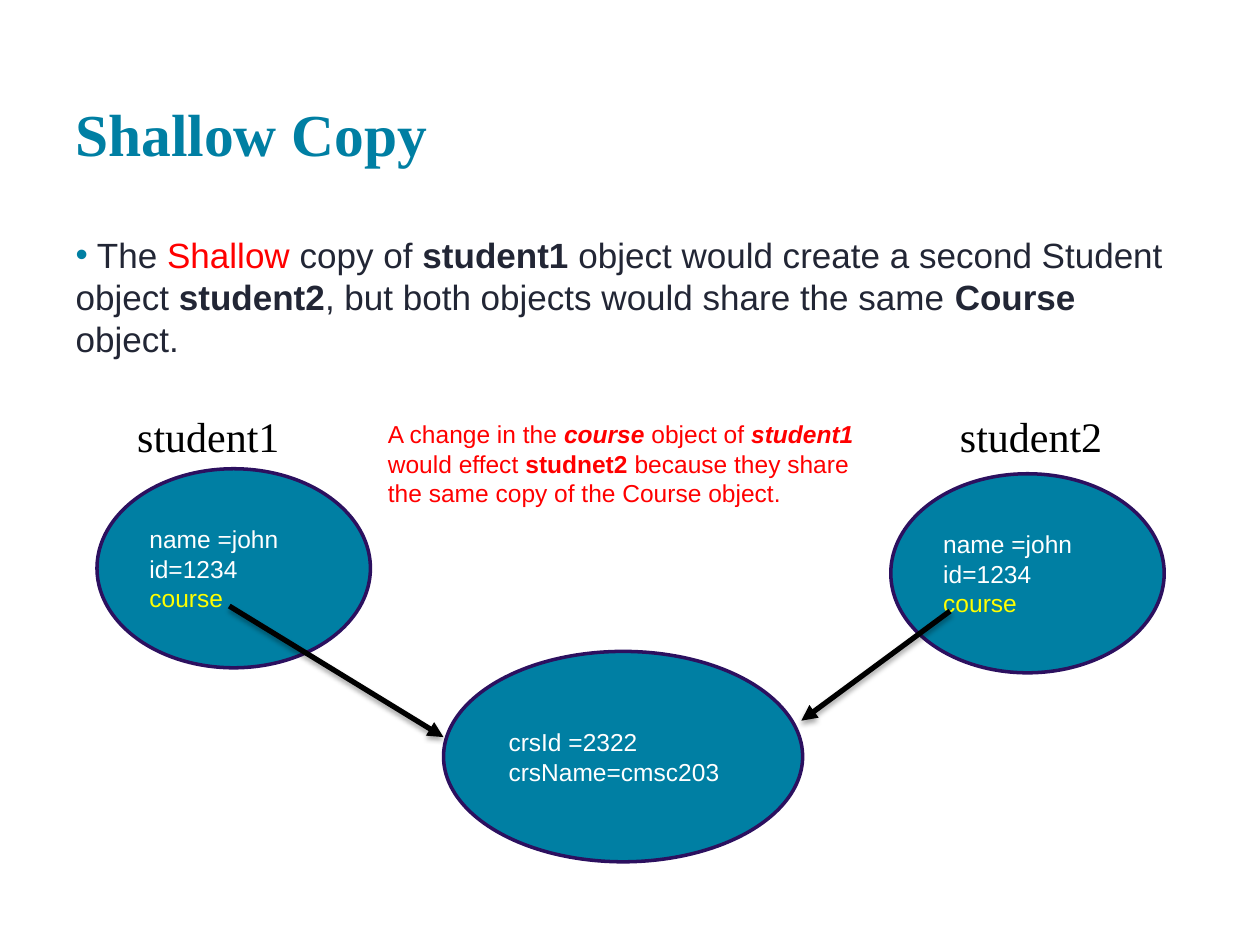
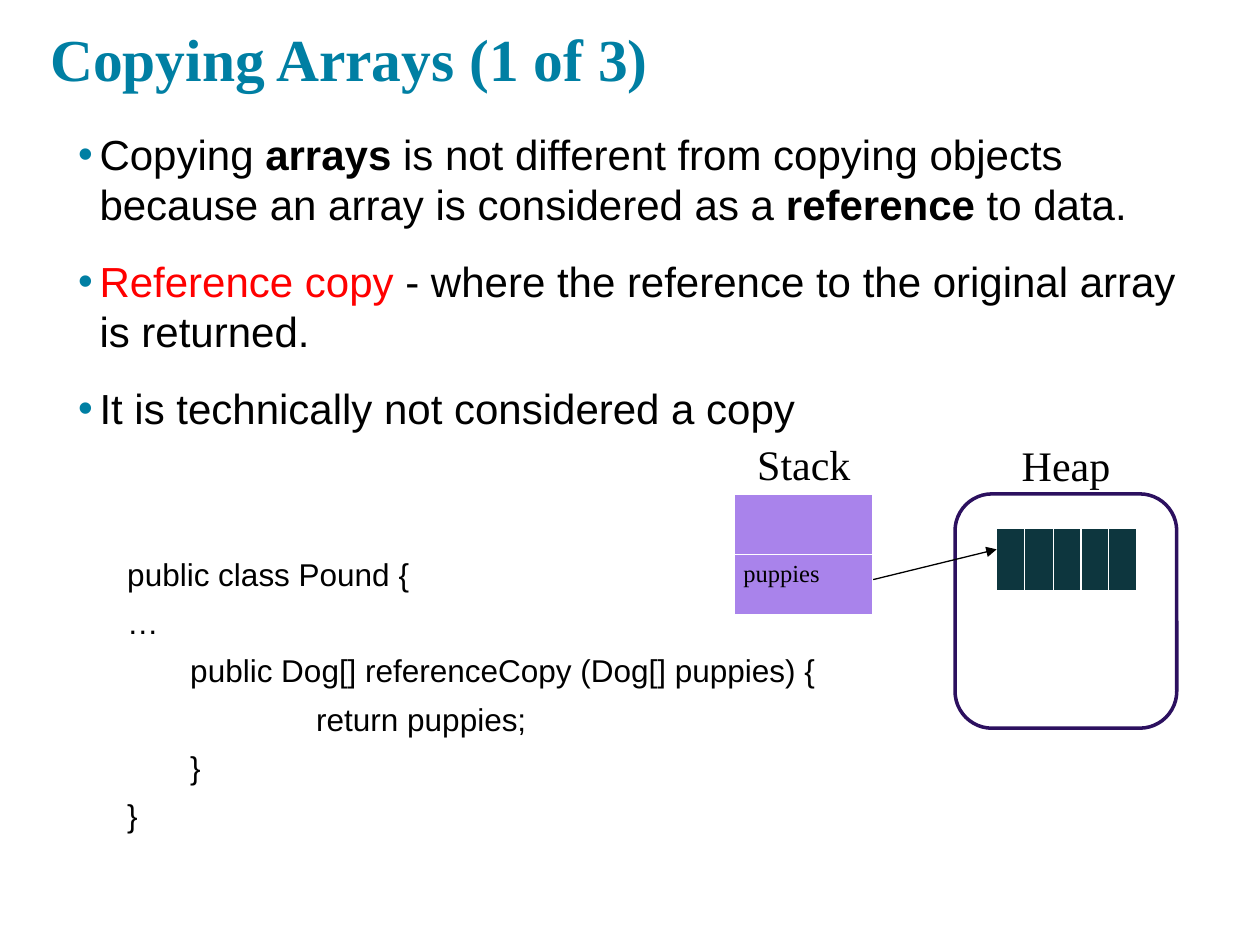
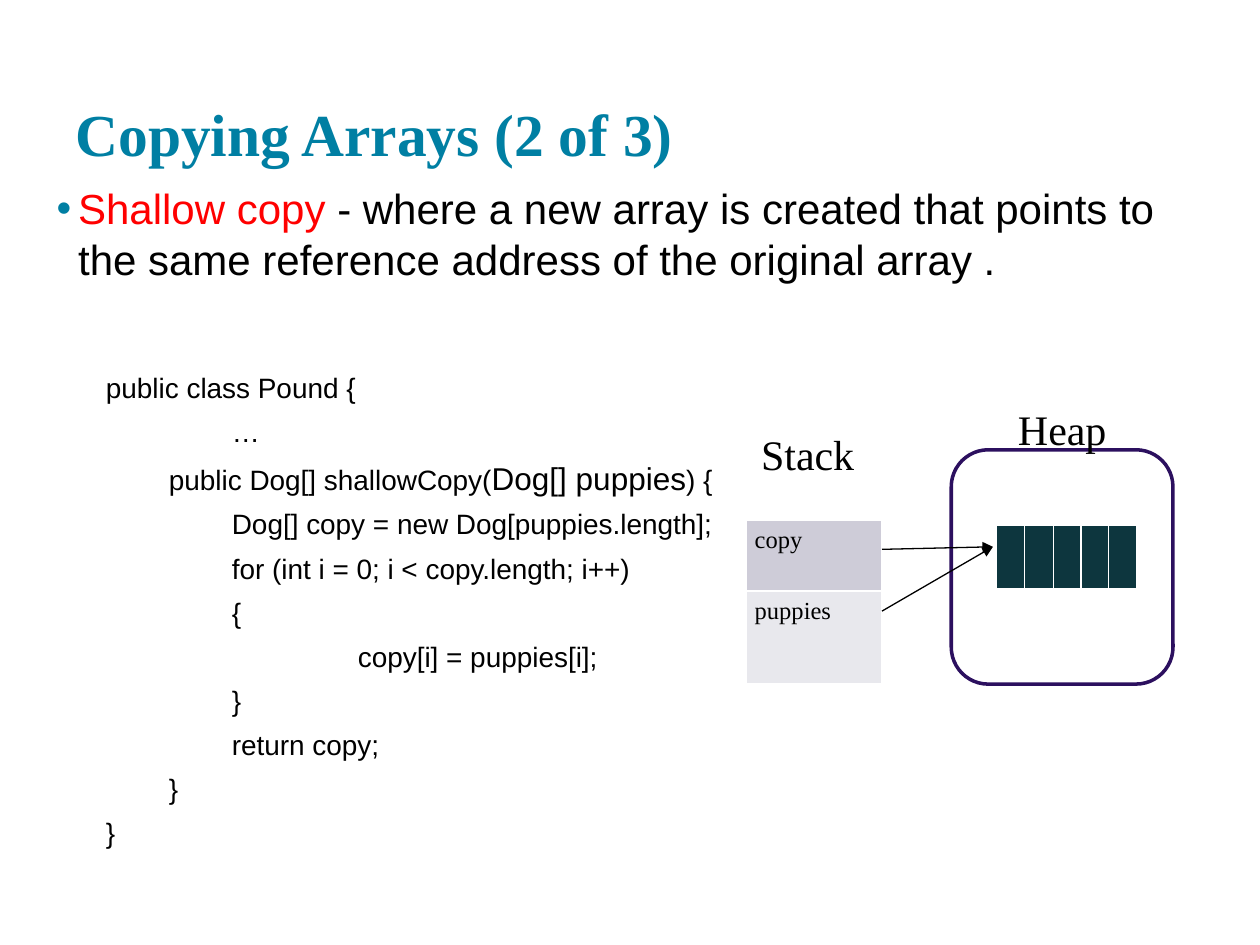
from lxml import etree
from pptx import Presentation
from pptx.dml.color import RGBColor
from pptx.enum.shapes import MSO_CONNECTOR, MSO_SHAPE
from pptx.enum.text import MSO_ANCHOR, MSO_AUTO_SIZE, PP_ALIGN
from pptx.oxml.ns import qn
from pptx.util import Inches, Pt

OVAL, ROUNDED = MSO_SHAPE.OVAL, MSO_SHAPE.ROUNDED_RECTANGLE
STRAIGHT = MSO_CONNECTOR.STRAIGHT
TOP, MIDDLE, BOTTOM = MSO_ANCHOR.TOP, MSO_ANCHOR.MIDDLE, MSO_ANCHOR.BOTTOM
LEFT, CENTER = PP_ALIGN.LEFT, PP_ALIGN.CENTER
NO_AUTOFIT = MSO_AUTO_SIZE.NONE
TITLE_AND_BODY = 1
COLUMNS, ROWS = 100, 75

SANS, SERIF = "Arial", "Times New Roman"
TEAL, PURPLE, INK = "007FA3", "2C105F", "222635"
BLACK, WHITE, RED, YELLOW = "000000", "FFFFFF", "FF0000", "FFFF00"
LILAC, PETROL, GREY, PALE = "A983EB", "0D363E", "CECCD8", "E8E8ED"
BOLD = {"bold": True}
BOLD_ITALIC = {"bold": True, "italic": True}
ALERT = {"color": RED}


def rgb(value):
    return RGBColor.from_string(value)


def add_xml(parent, tag, **attributes):
    return etree.SubElement(parent, qn(tag), attributes)


def write(paragraph, text, align=LEFT, **style):
    paragraph.alignment = align
    runs = [(text, {})] if isinstance(text, str) else text
    for words, changes in runs:
        look = {"size": 14, "font": SANS, "color": BLACK, **style, **changes}
        run = paragraph.add_run()
        run.text = words
        run.font.size = Pt(look["size"])
        run.font.name = look["font"]
        run.font.color.rgb = rgb(look["color"])
        run.font.bold = look.get("bold", False)
        run.font.italic = look.get("italic", False)


def write_lines(frame, lines, **style):
    for number, line in enumerate(lines):
        paragraph = frame.add_paragraph() if number else frame.paragraphs[0]
        write(paragraph, line, **style)


class Deck:
    def __init__(self):
        self.file = Presentation()
        self.file.slide_width, self.file.slide_height = Inches(10), Inches(7.5)
        self.column = self.file.slide_width / COLUMNS
        self.row = self.file.slide_height / ROWS

    def grid(self, across, down):
        return round(across * self.column), round(down * self.row)

    def box(self, left, top, width, height):
        return (*self.grid(left, top), *self.grid(width, height))

    def placeholder(self, holder, area, anchor):
        holder.left, holder.top, holder.width, holder.height = self.box(*area)
        frame = holder.text_frame
        frame.auto_size, frame.word_wrap = NO_AUTOFIT, True
        frame.vertical_anchor = anchor
        frame.margin_left = frame.margin_right = Inches(0.1)
        frame.margin_top = frame.margin_bottom = Inches(0.1)
        return frame

    def new_slide(self, title, body_area, title_area=(5, 2.4, 90, 12)):
        layout = self.file.slide_layouts[TITLE_AND_BODY]
        self.slide = self.file.slides.add_slide(layout)
        self.shapes = self.slide.shapes
        heading = self.placeholder(self.shapes.title, title_area, BOTTOM)
        write(heading.paragraphs[0], title, size=34, font=SERIF, color=TEAL, bold=True)
        self.body = self.placeholder(self.slide.placeholders[1], body_area, TOP)
        self.fresh = True

    def body_line(self, text, before, margin, hanging=0, level=0, **style):
        paragraph = self.body.paragraphs[0] if self.fresh else self.body.add_paragraph()
        self.fresh = False
        paragraph.level = level
        paragraph.space_before, paragraph.space_after = Pt(before), Pt(0)
        write(paragraph, text, **style)
        properties = paragraph._p.get_or_add_pPr()
        properties.set("marL", str(Inches(margin)))
        properties.set("indent", str(-Inches(hanging)))
        if hanging:
            add_xml(add_xml(properties, "a:buClr"), "a:srgbClr", val=TEAL)
            add_xml(properties, "a:buChar", char="•")
        else:
            add_xml(properties, "a:buNone")

    def bullet(self, text, before=15, margin=0.28, **style):
        self.body_line(text, before, margin, hanging=0.17, **{"size": 24, **style})

    def code(self, lines, size, gap):
        for number, (level, text) in enumerate(lines):
            before = 6 if number else gap
            self.body_line(text, before, level / 2, level=level, size=size)

    def text(self, area, lines, wrap=True, **style):
        frame = self.shapes.add_textbox(*self.box(*area)).text_frame
        frame.word_wrap = wrap
        write_lines(frame, lines, **style)

    def label(self, left, top, name, width=22.8, align=CENTER):
        self.text((left, top, width, 5.1), [name], size=24, font=SERIF, align=align)

    def outline(self, kind, area, fill=None, lines=()):
        shape = self.shapes.add_shape(kind, *self.box(*area))
        shape.shadow.inherit = False
        if fill:
            shape.fill.solid()
            shape.fill.fore_color.rgb = rgb(fill)
        else:
            shape.fill.background()
        shape.line.color.rgb = rgb(PURPLE)
        shape.line.width = Pt(2)
        shape.text_frame.vertical_anchor = MIDDLE
        write_lines(shape.text_frame, lines, color=WHITE)

    def arrow(self, start, end, width=0.75, shadow=False):
        arrow = self.shapes.add_connector(STRAIGHT, *self.grid(*start), *self.grid(*end))
        arrow.line.color.rgb = rgb(BLACK)
        arrow.line.width = Pt(width)
        properties = arrow._element.spPr
        add_xml(properties.find(qn("a:ln")), "a:tailEnd", type="triangle")
        effects = add_xml(properties, "a:effectLst")
        if shadow:
            cast = add_xml(effects, "a:outerShdw", blurRad=str(Pt(3.1)),
                           dist=str(Pt(1.8)), dir="5400000", rotWithShape="0")
            add_xml(add_xml(cast, "a:srgbClr", val=BLACK), "a:alpha", val="35000")

    def table(self, left, top, widths, heights, cells):
        area = self.box(left, top, sum(widths), sum(heights))
        table = self.shapes.add_table(len(heights), len(widths), *area).table
        for column, width in zip(table.columns, widths):
            column.width = self.grid(width, 0)[0]
        for row, height, contents in zip(table.rows, heights, cells):
            row.height = self.grid(0, height)[1]
            for cell, (name, fill) in zip(row.cells, contents):
                self.cell(cell, name, fill)

    def cell(self, cell, name, fill):
        cell.fill.solid()
        cell.fill.fore_color.rgb = rgb(fill)
        cell.margin_left = cell.margin_right = Inches(0.07)
        if name:
            write(cell.text_frame.paragraphs[0], name, font=SERIF)
        properties = cell._tc.get_or_add_tcPr()
        for position, side in enumerate("LRTB"):
            border = add_xml(properties, f"a:ln{side}", w=str(Pt(1)))
            add_xml(add_xml(border, "a:solidFill"), "a:srgbClr", val=WHITE)
            properties.insert(position, border)

    def heap(self, left, top, label_top, array_top):
        self.outline(ROUNDED, (left, top, 17.6, 18.6))
        self.label(left - 2.6, label_top, "Heap")
        widths = [2.2, 2.3, 2.2, 2.2, 2.2]
        self.table(79.1, array_top, widths, [5], [[("", PETROL)] * len(widths)])


def shallow_copy(deck):
    deck.new_slide("Shallow Copy", (5, 17.5, 90, 50.8))
    deck.bullet([
        (" The ", {}), ("Shallow", ALERT), (" copy of ", {}), ("student1", BOLD),
        (" object would create a second Student object ", {}), ("student2", BOLD),
        (", but both objects would share the same ", {}), ("Course", BOLD),
        (" object.", {}),
    ], before=3.8, margin=0, size=20, color=INK)
    student = ["name =john", "id=1234", [("course", {"color": YELLOW})]]
    deck.outline(OVAL, (7.7, 37.2, 21.7, 15.8), TEAL, student)
    deck.outline(OVAL, (70.7, 37.6, 21.7, 15.8), TEAL, student)
    deck.outline(OVAL, (35.2, 51.7, 28.5, 16.7), TEAL, ["crsId =2322", "crsName=cmsc203"])
    deck.arrow((18.2, 48.1), (35.2, 58.5), width=3, shadow=True)
    deck.arrow((75.4, 48.5), (63.6, 57.2), width=3, shadow=True)
    for left, name in ((9.9, "student1"), (75.2, "student2")):
        deck.label(left, 32.1, name, width=13.5, align=LEFT)
    deck.text((29.8, 32.8, 41.5, 10.4), [[
        ("A change in the ", {}), ("course ", BOLD_ITALIC), ("object of ", {}),
        ("student1", BOLD_ITALIC), (" would effect ", {}), ("studnet2", BOLD),
        (" because they share the same copy of the Course object.", {}),
    ]], color=RED)


def reference_copy(deck):
    deck.new_slide("Copying Arrays (1 of 3)", (4.1, 9.2, 93.4, 62.1), (3, 2.1, 90, 6.3))
    deck.bullet([
        ("Copying ", {}), ("arrays", BOLD),
        (" is not different from copying objects because an array is considered as a ", {}),
        ("reference", BOLD), (" to data.", {}),
    ])
    deck.bullet([
        ("Reference copy ", ALERT),
        ("- where the reference to the original array is returned.", {}),
    ])
    deck.bullet("It is technically not considered a copy")
    deck.code([
        (1, "public class Pound {"),
        (1, "…"),
        (2, "public Dog[] referenceCopy (Dog[] puppies) {"),
        (4, "return puppies;"),
        (2, "}"),
        (1, "}"),
    ], size=18, gap=69.5)
    deck.table(58.3, 39.2, [11], [4.8, 4.8], [[("", LILAC)], [("puppies", LILAC)]])
    deck.label(52.4, 34.3, "Stack")
    deck.heap(75.8, 39.2, 34.4, 41.9)
    deck.arrow((69.3, 46), (79.1, 43.6))


def shallow_array_copy(deck):
    deck.new_slide("Copying Arrays (2 of 3)", (2.4, 13.5, 90.7, 56.4))
    deck.bullet([
        ("Shallow copy ", ALERT),
        ("- where a new array is created that points to the same reference address"
         " of the original array .", {}),
    ])
    deck.code([
        (1, "public class Pound {"),
        (3, "…"),
        (2, [("public Dog[] shallowCopy(", {}), ("Dog[] puppies", {"size": 18}), (") {", {})]),
        (3, "Dog[] copy = new Dog[puppies.length];"),
        (3, "for (int i = 0; i < copy.length; i++)"),
        (3, "{"),
        (5, "copy[i] = puppies[i];"),
        (3, "}"),
        (3, "return copy;"),
        (2, "}"),
        (1, "}"),
    ], size=16, gap=49.7)
    deck.table(59.2, 35.7, [10.8], [5.6, 5.6, 7.4],
               [[("", WHITE)], [("copy", GREY)], [("puppies", PALE)]])
    deck.label(52.7, 33.5, "Stack")
    deck.heap(75.5, 35.7, 31.5, 41.7)
    for start in (43.6, 48.5):
        deck.arrow((70, start), (78.8, 43.4))


def main():
    deck = Deck()
    for build in (shallow_copy, reference_copy, shallow_array_copy):
        build(deck)
    deck.file.save("out.pptx")


if __name__ == "__main__":
    main()
